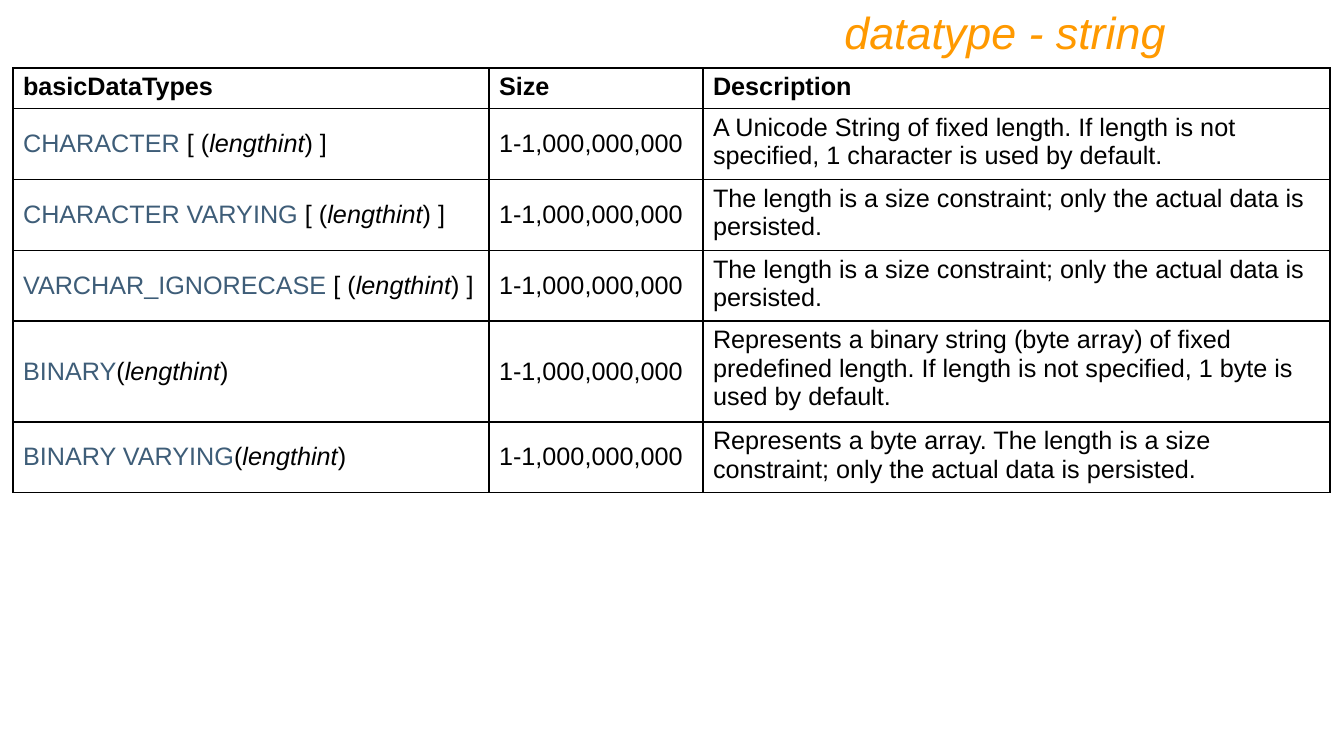
from lxml import etree
from pptx import Presentation
from pptx.dml.color import RGBColor
from pptx.enum.text import MSO_ANCHOR, PP_ALIGN
from pptx.oxml.ns import qn
from pptx.util import Pt

EMU_PER_PX = 914400 / 100.8
MIDDLE, TOP = MSO_ANCHOR.MIDDLE, MSO_ANCHOR.TOP
RIGHT = PP_ALIGN.RIGHT
FONT = "Arial"
COLORS = {"title": "FF9900", "keyword": "3E5D78", "text": "000000"}

COLUMN_WIDTHS = [476, 214, 627]
ROW_HEIGHTS = [40, 71, 71, 70, 101, 70]
HEADERS = ["basicDataTypes", "Size", "Description"]
SIZE_RANGE = "1-1,000,000,000"
SIZE_CONSTRAINT = "The length is a size constraint; only the actual data is persisted."
# Each type: keyword, text before and after the length hint, description
DATA_TYPES = [
    ("CHARACTER", " [ (", ") ]",
     "A Unicode String of fixed length. If length is not specified, "
     "1 character is used by default."),
    ("CHARACTER VARYING", " [ (", ") ]", SIZE_CONSTRAINT),
    ("VARCHAR_IGNORECASE", " [ (", ") ]", SIZE_CONSTRAINT),
    ("BINARY", "(", ")",
     "Represents a binary string (byte array) of fixed predefined length. "
     "If length is not specified, 1 byte is used by default."),
    ("BINARY VARYING", "(", ")",
     "Represents a byte array. The length is a size constraint; "
     "only the actual data is persisted."),
]


def px(length):
    return round(length * EMU_PER_PX)


def set_font(font, size, color):
    font.name = FONT
    font.size = Pt(size)
    font.color.rgb = RGBColor.from_string(COLORS[color])


def add_title(slide, left, top, width, height):
    box = slide.shapes.add_textbox(px(left), px(top), px(width), px(height))
    box.text_frame.word_wrap = True
    paragraph = box.text_frame.paragraphs[0]
    paragraph.text = "datatype - string"
    paragraph.alignment = RIGHT
    set_font(paragraph.font, 32, "title")
    paragraph.font.italic = True


def add_borders(cell):
    properties = cell._tc.get_or_add_tcPr()
    for side in ("a:lnL", "a:lnR", "a:lnT", "a:lnB"):
        line = etree.SubElement(properties, qn(side), w=str(Pt(1)))
        fill = etree.SubElement(line, qn("a:solidFill"))
        etree.SubElement(fill, qn("a:srgbClr"), val=COLORS["text"])


def fill_cell(cell, text, anchor=TOP, bold=False):
    """Style a cell, write its text and return its paragraph."""
    add_borders(cell)
    cell.fill.background()
    cell.vertical_anchor = anchor
    paragraph = cell.text_frame.paragraphs[0]
    paragraph.text = text
    set_font(paragraph.font, 18, "text")
    paragraph.font.bold = bold
    return paragraph


def fill_type_cell(cell, keyword, opening, closing):
    paragraph = fill_cell(cell, keyword, MIDDLE)
    paragraph.runs[0].font.color.rgb = RGBColor.from_string(COLORS["keyword"])
    for text in (opening, "lengthint", closing):
        run = paragraph.add_run()
        run.text = text
        run.font.italic = text == "lengthint"


def add_type_table(slide, left, top):
    frame = slide.shapes.add_table(
        len(ROW_HEIGHTS), len(COLUMN_WIDTHS), px(left), px(top),
        px(sum(COLUMN_WIDTHS)), px(sum(ROW_HEIGHTS)))
    table = frame.table
    table.first_row = table.horz_banding = False
    for column, width in zip(table.columns, COLUMN_WIDTHS):
        column.width = px(width)
    for row, height in zip(table.rows, ROW_HEIGHTS):
        row.height = px(height)
    for index, header in enumerate(HEADERS):
        fill_cell(table.cell(0, index), header, bold=True)
    for index, (keyword, opening, closing, description) in enumerate(DATA_TYPES, 1):
        fill_type_cell(table.cell(index, 0), keyword, opening, closing)
        fill_cell(table.cell(index, 1), SIZE_RANGE, MIDDLE)
        fill_cell(table.cell(index, 2), description)


def main():
    presentation = Presentation()
    presentation.slide_width = px(1344)
    presentation.slide_height = px(756)
    slide = presentation.slides.add_slide(presentation.slide_layouts[6])
    add_title(slide, 168, 0, 1008, 64)
    add_type_table(slide, 13, 68)
    presentation.save("out.pptx")


if __name__ == "__main__":
    main()
